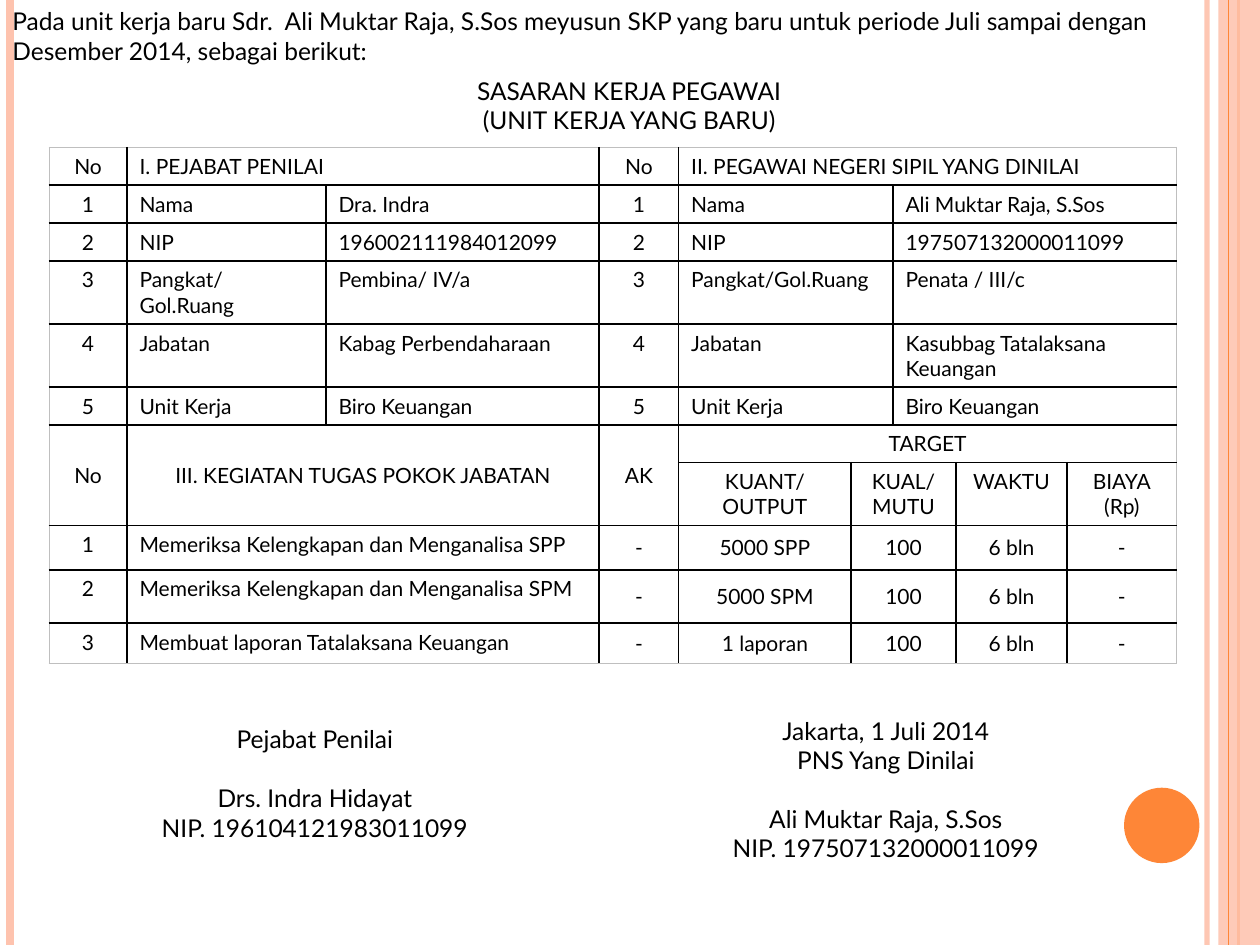
from lxml.etree import SubElement
from pptx import Presentation
from pptx.dml.color import RGBColor
from pptx.enum.shapes import MSO_CONNECTOR, MSO_SHAPE
from pptx.enum.text import MSO_ANCHOR, MSO_AUTO_SIZE, PP_ALIGN
from pptx.oxml.ns import qn
from pptx.util import Cm, Pt

FONT = "Lato"
COLORS = {"text": "000000", "grid": "000000", "frame": "BFBFBF",
          "peach": "FEC3AE", "orange": "FE8637"}
SLIDE_WIDTH, SLIDE_HEIGHT = 25.4, 19.05

COLUMN_WIDTHS = [1.57, 4.01, 5.51, 1.6, 3.48, 0.84, 1.27, 2.24, 2.21]
ROW_HEIGHTS = [0.64, 0.66, 0.66, 0.71, 1.09, 0.64, 0.66, 0.99, 0.89, 1.07, 0.81]
LAST_PERSON_ROW, FIRST_TASK_ROW = 5, 8

PEOPLE = [
    ("Nama", "Dra. Indra", "Ali Muktar Raja, S.Sos"),
    ("NIP", "196002111984012099", "197507132000011099"),
    ("Pangkat/Gol.Ruang", "Pembina/ IV/a", "Penata / III/c"),
    ("Jabatan", "Kabag Perbendaharaan", "Kasubbag Tatalaksana Keuangan"),
    ("Unit Kerja", "Biro Keuangan", "Biro Keuangan"),
]
TASKS = [
    ("Memeriksa Kelengkapan dan Menganalisa SPP", "5000 SPP"),
    ("Memeriksa Kelengkapan dan Menganalisa SPM", "5000 SPM"),
    ("Membuat laporan Tatalaksana Keuangan", "1 laporan"),
]


def rgb(name):
    return RGBColor.from_string(COLORS[name])


def set_opacity(color_format_parent, percent):
    color = next(color_format_parent.iter(qn("a:srgbClr")))
    SubElement(color, qn("a:alpha"), val=str(percent * 1000))


def format_text(text_frame, size, alignment):
    for paragraph in text_frame.paragraphs:
        paragraph.alignment = alignment
        for run in paragraph.runs:
            run.font.size = Pt(size)
            run.font.name = FONT
            run.font.color.rgb = rgb("text")


def add_vertical_line(slide, x, color, width, opacity=None):
    line = slide.shapes.add_connector(
        MSO_CONNECTOR.STRAIGHT, Cm(x), Cm(0), Cm(x), Cm(SLIDE_HEIGHT))
    line.line.color.rgb = rgb(color)
    line.line.width = Pt(width)
    properties = line._element.spPr
    if opacity:
        set_opacity(properties, opacity)
    SubElement(properties, qn("a:effectLst"))


def add_filled_shape(slide, kind, left, top, width, height, color, opacity=None):
    shape = slide.shapes.add_shape(kind, Cm(left), Cm(top), Cm(width), Cm(height))
    shape.shadow.inherit = False
    shape.fill.solid()
    shape.fill.fore_color.rgb = rgb(color)
    shape.line.fill.background()
    if opacity:
        set_opacity(shape._element.spPr, opacity)


def add_text(slide, left, top, width, height, text,
             alignment=PP_ALIGN.CENTER, gap_before=None):
    box = slide.shapes.add_textbox(Cm(left), Cm(top), Cm(width), Cm(height))
    text_frame = box.text_frame
    text_frame.word_wrap = True
    text_frame.auto_size = MSO_AUTO_SIZE.SHAPE_TO_FIT_TEXT
    text_frame.text = text
    format_text(text_frame, 14, alignment)
    if gap_before is not None:
        text_frame.paragraphs[gap_before].space_before = Pt(16.8)


def table_cells():
    """Return (row, column, text, column span, row span) for every cell."""
    cells = [(0, 0, "No", 1, 1), (0, 1, "I. PEJABAT PENILAI", 2, 1),
             (0, 3, "No", 1, 1),
             (0, 4, "II. PEGAWAI NEGERI SIPIL YANG DINILAI", 5, 1)]
    for row, (label, assessor, employee) in enumerate(PEOPLE, 1):
        cells += [(row, 0, str(row), 1, 1), (row, 1, label, 1, 1),
                  (row, 2, assessor, 1, 1), (row, 3, str(row), 1, 1),
                  (row, 4, label, 2, 1), (row, 6, employee, 3, 1)]
    cells += [(6, 0, "No", 1, 2),
              (6, 1, "III. KEGIATAN TUGAS POKOK JABATAN", 2, 2),
              (6, 3, "AK", 1, 2), (6, 4, "TARGET", 5, 1),
              (7, 4, "KUANT/\nOUTPUT", 1, 1), (7, 5, "KUAL/\nMUTU", 2, 1),
              (7, 7, "WAKTU", 1, 1), (7, 8, "BIAYA\n(Rp)", 1, 1)]
    for number, (task, output) in enumerate(TASKS, 1):
        row = FIRST_TASK_ROW + number - 1
        cells += [(row, 0, str(number), 1, 1), (row, 1, task, 2, 1),
                  (row, 3, "-", 1, 1), (row, 4, output, 1, 1),
                  (row, 5, "100", 2, 1), (row, 7, "6 bln", 1, 1),
                  (row, 8, "-", 1, 1)]
    return cells


def style_cell(cell, row, column):
    on_frame = {
        "a:lnL": column == 0,
        "a:lnR": column + cell.span_width == len(COLUMN_WIDTHS),
        "a:lnT": row == 0,
        "a:lnB": row + cell.span_height == len(ROW_HEIGHTS),
    }
    properties = cell._tc.get_or_add_tcPr()
    for side, outer in on_frame.items():
        border = SubElement(properties, qn(side), w=str(Pt(0.75 if outer else 1)))
        fill = SubElement(border, qn("a:solidFill"))
        SubElement(fill, qn("a:srgbClr"), val=COLORS["frame" if outer else "grid"])
    cell.fill.background()


def add_target_table(slide):
    table = slide.shapes.add_table(
        len(ROW_HEIGHTS), len(COLUMN_WIDTHS), Cm(0.99), Cm(2.97),
        Cm(sum(COLUMN_WIDTHS)), Cm(sum(ROW_HEIGHTS))).table
    table.first_row = table.horz_banding = False
    for column, width in zip(table.columns, COLUMN_WIDTHS):
        column.width = Cm(width)
    for row, height in zip(table.rows, ROW_HEIGHTS):
        row.height = Cm(height)

    for row, column, text, column_span, row_span in table_cells():
        cell = table.cell(row, column)
        if column_span * row_span > 1:
            cell.merge(table.cell(row + row_span - 1, column + column_span - 1))
        cell.text_frame.text = text
        is_person = row <= LAST_PERSON_ROW and column not in (0, 3)
        is_task = row >= FIRST_TASK_ROW and column == 1
        format_text(cell.text_frame, 12,
                    PP_ALIGN.LEFT if is_person or is_task else PP_ALIGN.CENTER)
        if row_span > 1 or (row >= FIRST_TASK_ROW and column >= 3):
            cell.vertical_anchor = MSO_ANCHOR.MIDDLE

    for row in range(len(ROW_HEIGHTS)):
        for column in range(len(COLUMN_WIDTHS)):
            style_cell(table.cell(row, column), row, column)


def main():
    presentation = Presentation()
    presentation.slide_width = Cm(SLIDE_WIDTH)
    presentation.slide_height = Cm(SLIDE_HEIGHT)
    slide = presentation.slides.add_slide(presentation.slide_layouts[6])

    # Side stripes and circle
    add_vertical_line(slide, 24.33, "peach", 3, opacity=93)
    add_vertical_line(slide, 0.2, "peach", 4.5)
    add_vertical_line(slide, 24.97, "orange", 1.5)
    add_filled_shape(slide, MSO_SHAPE.RECTANGLE, 24.56, 0, 0.84, SLIDE_HEIGHT,
                     "peach", opacity=87)
    add_vertical_line(slide, 24.77, "orange", 0.75)
    add_filled_shape(slide, MSO_SHAPE.OVAL, 22.66, 15.88, 1.52, 1.52, "orange")

    # Introduction and heading
    add_text(slide, 0, 0, 24.61, 1.45,
             "Pada unit kerja baru Sdr.  Ali Muktar Raja, S.Sos meyusun SKP yang "
             "baru untuk periode Juli sampai dengan Desember 2014, sebagai berikut:",
             PP_ALIGN.LEFT)
    add_text(slide, 7.92, 1.4, 9.53, 1.45,
             "SASARAN KERJA PEGAWAI\n(UNIT KERJA YANG BARU)")

    # Work targets
    add_target_table(slide)

    # Signatures
    add_text(slide, 0, 14.48, 12.7, 2.64,
             "Pejabat Penilai\nDrs. Indra Hidayat\nNIP. 196104121983011099",
             gap_before=1)
    add_text(slide, 11.51, 14.3, 12.7, 3.84,
             "Jakarta, 1 Juli 2014\nPNS Yang Dinilai\n"
             "Ali Muktar Raja, S.Sos\nNIP. 197507132000011099", gap_before=2)

    presentation.save("out.pptx")


if __name__ == "__main__":
    main()
